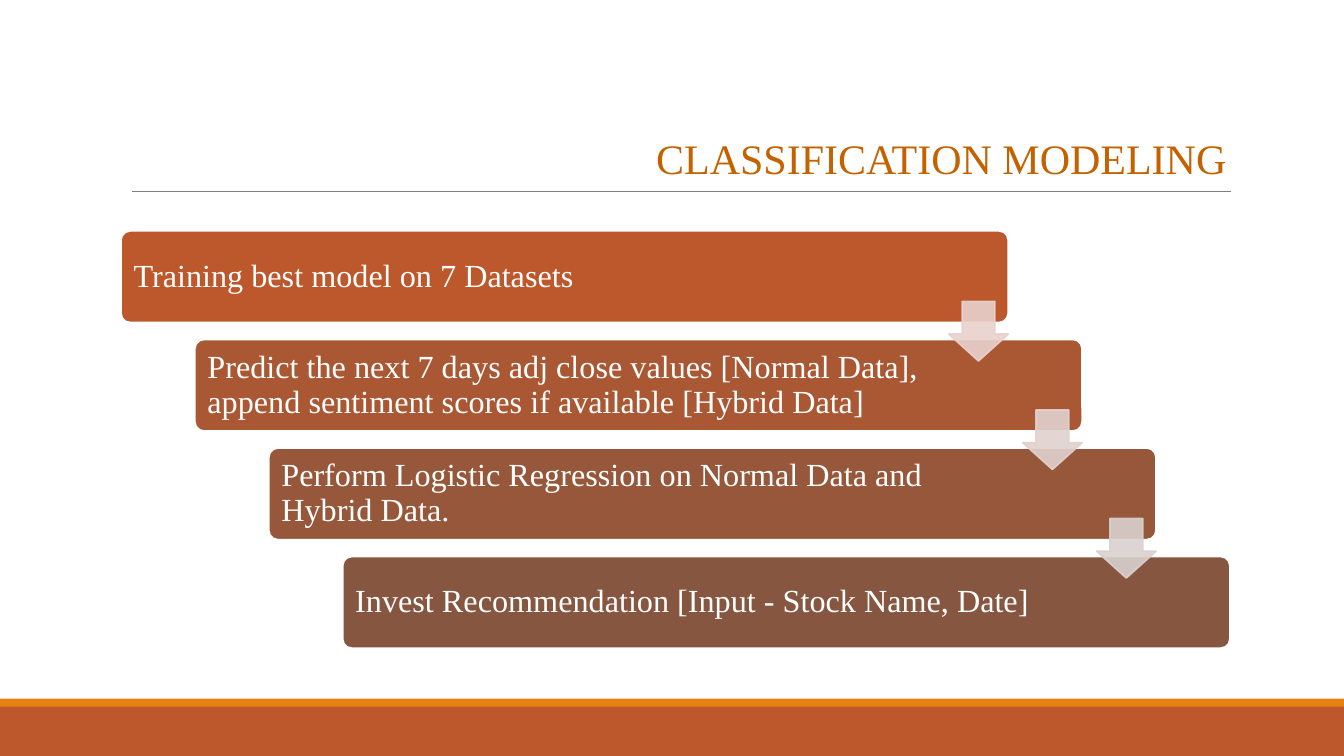
from dataclasses import dataclass

from lxml import etree
from pptx import Presentation
from pptx.dml.color import RGBColor
from pptx.enum.shapes import MSO_CONNECTOR as CONN, MSO_SHAPE as SHAPE
from pptx.enum.text import MSO_ANCHOR as ANCHOR, PP_ALIGN as ALIGN
from pptx.oxml.ns import qn
from pptx.util import Inches, Pt


@dataclass(frozen=True)
class Theme:
    font: str = "Times New Roman"
    title_size: int = 30
    step_size: int = 23
    title: str = "C46200"
    white: str = "FFFFFF"
    rule: str = "808080"
    band: str = "BD582C"
    stripe: str = "E48312"
    steps: tuple = ("BD582C", "AA5834", "97573A", "865640")
    arrows: tuple = ("E8D1CD", "E1D1CE", "D9D1CF")


theme = Theme()


def add_shape(kind, x, y, w, h, fill, line=None):
    sp = s.shapes.add_shape(kind, Inches(x), Inches(y), Inches(w), Inches(h))
    sp.shadow.inherit = False
    sp.fill.solid()
    sp.fill.fore_color.rgb = RGBColor.from_string(fill)
    if line:
        sp.line.color.rgb = RGBColor.from_string(line)
        sp.line.width = Pt(1.25)
    else:
        sp.line.fill.background()
    return sp


def add_run(p, text, size, color):
    r = p.add_run()
    r.text = text
    r.font.name = theme.font
    r.font.size = Pt(size)
    r.font.color.rgb = RGBColor.from_string(color)


prs = Presentation()
prs.slide_width, prs.slide_height = Inches(13.33), Inches(7.5)
s = prs.slides.add_slide(prs.slide_layouts[6])

# Footer band and stripe
add_shape(SHAPE.RECTANGLE, 0, 7, 13.33, 0.5, theme.band)
add_shape(SHAPE.RECTANGLE, 0, 6.93, 13.33, 0.08, theme.stripe)

# Rule under the title
rule = s.shapes.add_connector(CONN.STRAIGHT, Inches(1.31), Inches(1.9), Inches(12.21), Inches(1.9))
rule.line.color.rgb = RGBColor.from_string(theme.rule)
rule.line.width = Pt(0.5)
etree.SubElement(rule._element.spPr, qn("a:effectLst"))

# Staircase of steps
steps = [
    "Training best model on 7 Datasets",
    "Predict the next 7 days adj close values [Normal Data], append sentiment scores if available [Hybrid Data]",
    "Perform Logistic Regression on Normal Data and Hybrid Data.",
    "Invest Recommendation [Input - Stock Name, Date]",
]
STEP_X, STEP_Y = 0.733, 1.077
for i, (text, color) in enumerate(zip(steps, theme.steps)):
    sp = add_shape(SHAPE.ROUNDED_RECTANGLE, 1.2 + i * STEP_X, 2.29 + i * STEP_Y, 8.8, 0.91, color, theme.white)
    sp.adjustments[0] = 0.1
    tf = sp.text_frame
    tf.word_wrap = True
    tf.vertical_anchor = ANCHOR.MIDDLE
    tf.margin_left = tf.margin_top = tf.margin_bottom = Inches(0.1)
    tf.margin_right = Inches(1.42)
    p = tf.paragraphs[0]
    p.alignment = ALIGN.LEFT
    p.line_spacing = 0.9
    add_run(p, text, theme.step_size, theme.white)

# Translucent arrows from each step to the next
for i, color in enumerate(theme.arrows):
    sp = add_shape(SHAPE.DOWN_ARROW, 9.41 + i * STEP_X, 2.99 + i * STEP_Y, 0.59, 0.59, color, color)
    sp.adjustments[0], sp.adjustments[1] = 0.55, 0.45
    for clr in sp._element.spPr.iter(qn("a:srgbClr")):
        etree.SubElement(clr, qn("a:alpha"), val="90000")

# Title
title = s.shapes.add_textbox(Inches(6.41), Inches(1.27), Inches(6.04), Inches(0.61))
tf = title.text_frame
tf.word_wrap = True
add_run(tf.paragraphs[0], "CLASSIFICATION MODELING", theme.title_size, theme.title)

prs.save("out.pptx")
